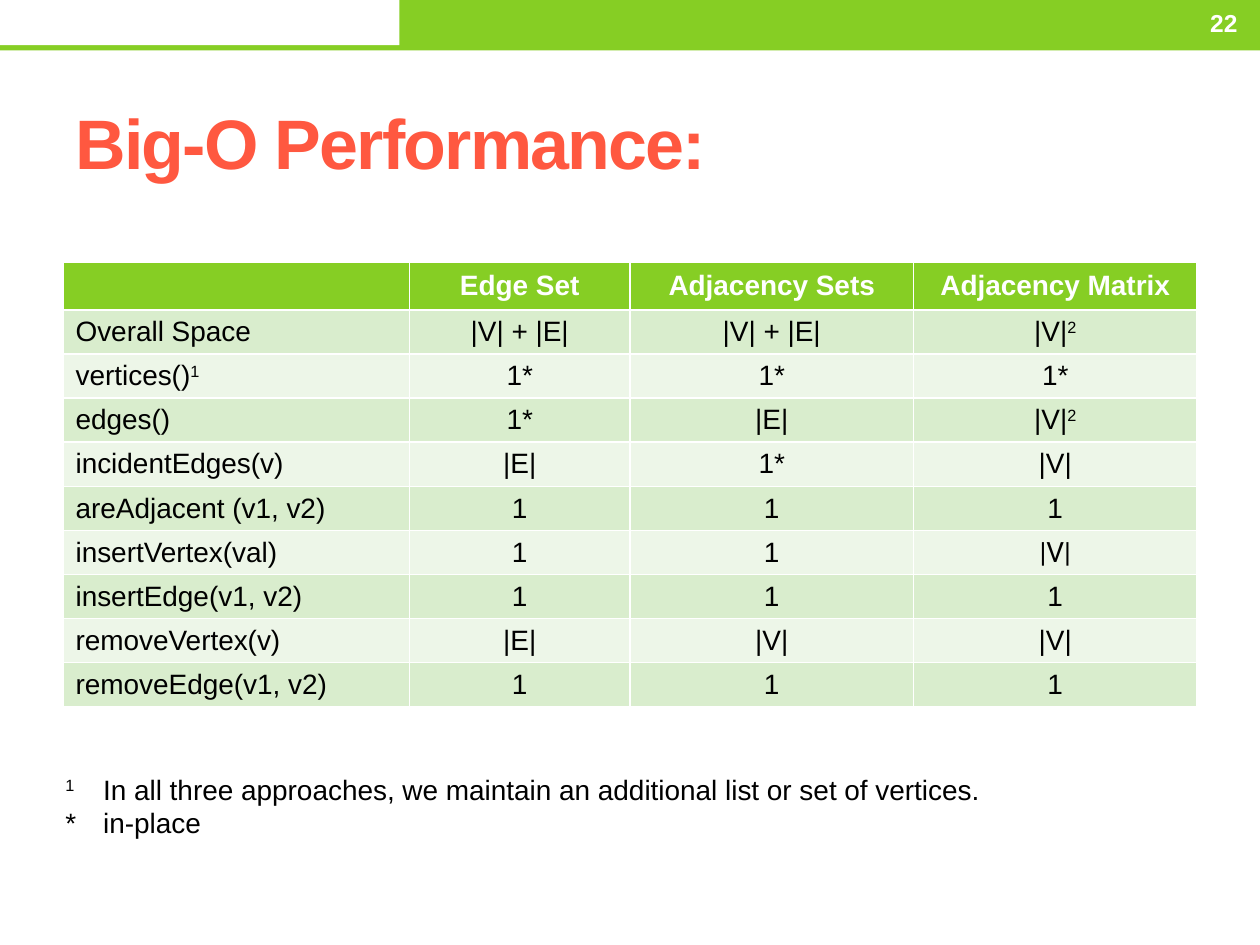
from pptx import Presentation
from pptx.dml.color import RGBColor
from pptx.enum.shapes import MSO_SHAPE
from pptx.enum.text import MSO_ANCHOR, PP_ALIGN
from pptx.util import Inches, Pt

GREEN, WHITE, BLACK, CORAL = "86CE24", "FFFFFF", "000000", "FF5840"
BANDS = "D9EDCD", "EDF6E8"
WIDTHS = 2.75, 1.75, 2.25, 2.25
ROWS = [
    ["", "Edge Set", "Adjacency Sets", "Adjacency Matrix"],
    ["Overall Space", "|V| + |E|", "|V| + |E|", "|V|^2"],
    ["vertices()^1", "1*", "1*", "1*"],
    ["edges()", "1*", "|E|", "|V|^2"],
    ["incidentEdges(v)", "|E|", "1*", "|V|"],
    ["areAdjacent (v1, v2)", "1", "1", "1"],
    ["insertVertex(val)", "1", "1", "|V|"],
    ["insertEdge(v1, v2)", "1", "1", "1"],
    ["removeVertex(v)", "|E|", "|V|", "|V|"],
    ["removeEdge(v1, v2)", "1", "1", "1"],
]
NOTES = [
    "^1^\tIn all three approaches, we maintain an additional list or set of vertices.",
    "*\tin-place",
]


def color(code):
    """Turn a hex string into a colour."""
    return RGBColor.from_string(code)


def apply(item, values):
    """Set each attribute named in a dict."""
    for name, value in values.items():
        setattr(item, name, value)


class Deck:
    """Hold the style and the current slide."""

    def __init__(self):
        """Start a deck with one blank slide."""
        self.show = Presentation()
        apply(self.show, {"slide_width": Inches(10), "slide_height": Inches(7.5)})
        self.slide = self.show.slides.add_slide(self.show.slide_layouts[6])
        self.base = {"name": "Arial", "size": Pt(16), "bold": False}

    def line(self, para, text, ink=BLACK, align=PP_ALIGN.LEFT, **style):
        """Fill a paragraph, raising every second part between carets."""
        para.alignment = align
        for spot, part in enumerate(text.split("^")):
            if part:
                run = para.add_run()
                run.text = part
                apply(run.font, self.base | style)
                run.font.color.rgb = color(ink)
                if spot % 2:
                    run.font._element.set("baseline", "30000")

    def bar(self, box, fill):
        """Draw a plain filled rectangle."""
        shape = self.slide.shapes.add_shape(MSO_SHAPE.RECTANGLE, *map(Inches, box))
        shape.shadow.inherit = False
        shape.fill.solid()
        shape.fill.fore_color.rgb = color(fill)
        shape.line.fill.background()

    def text(self, box, lines, anchor=MSO_ANCHOR.MIDDLE, **style):
        """Add a text box and return its paragraphs."""
        frame = self.slide.shapes.add_textbox(*map(Inches, box)).text_frame
        apply(frame, {"word_wrap": True, "vertical_anchor": anchor})
        for spot, words in enumerate(lines):
            para = frame.add_paragraph() if spot else frame.paragraphs[0]
            self.line(para, words, **style)
        return frame.paragraphs

    def grid(self, left, top, pitch, widths, rows):
        """Add a banded table with a green header."""
        box = map(Inches, (left, top, sum(widths), pitch * len(rows)))
        table = self.slide.shapes.add_table(len(rows), len(widths), *box).table
        for col, width in zip(table.columns, widths):
            col.width = Inches(width)
        form = {
            "vertical_anchor": MSO_ANCHOR.MIDDLE,
            "margin_top": Inches(0.04),
            "margin_bottom": Inches(0.04),
        }
        for y, row in enumerate(rows):
            for x, word in enumerate(row):
                cell = table.cell(y, x)
                apply(cell, form)
                cell.fill.solid()
                cell.fill.fore_color.rgb = color(BANDS[(y - 1) % 2] if y else GREEN)
                self.line(
                    cell.text_frame.paragraphs[0],
                    word,
                    ink=BLACK if y else WHITE,
                    align=PP_ALIGN.CENTER if x else PP_ALIGN.LEFT,
                    bold=not y,
                    name="Roboto" if (y, x) == (6, 3) else "Arial",
                )


def main():
    """Build the slide and save it."""
    deck = Deck()
    deck.bar((0, 0, 10, 0.4), GREEN)
    deck.bar((0, 0, 3.17, 0.36), WHITE)
    title = deck.text(
        (0.5, 0.5, 8.5, 1.25), ["Big-O Performance:"], ink=CORAL, size=Pt(40), bold=True
    )
    title[0].runs[0].font._element.set("spc", "-100")
    deck.grid(0.5, 2.08, 0.35, WIDTHS, ROWS)
    deck.text(
        (8.75, 0, 1.17, 0.36), ["22"],
        ink=WHITE, align=PP_ALIGN.RIGHT, size=Pt(14), bold=True,
    )
    for para in deck.text((0.42, 6.08, 7.58, 0.91), NOTES, anchor=MSO_ANCHOR.TOP):
        props = para._p.get_or_add_pPr()
        props.set("marL", str(Inches(0.3)))
        props.set("indent", str(-Inches(0.3)))
    deck.show.save("out.pptx")


if __name__ == "__main__":
    main()
